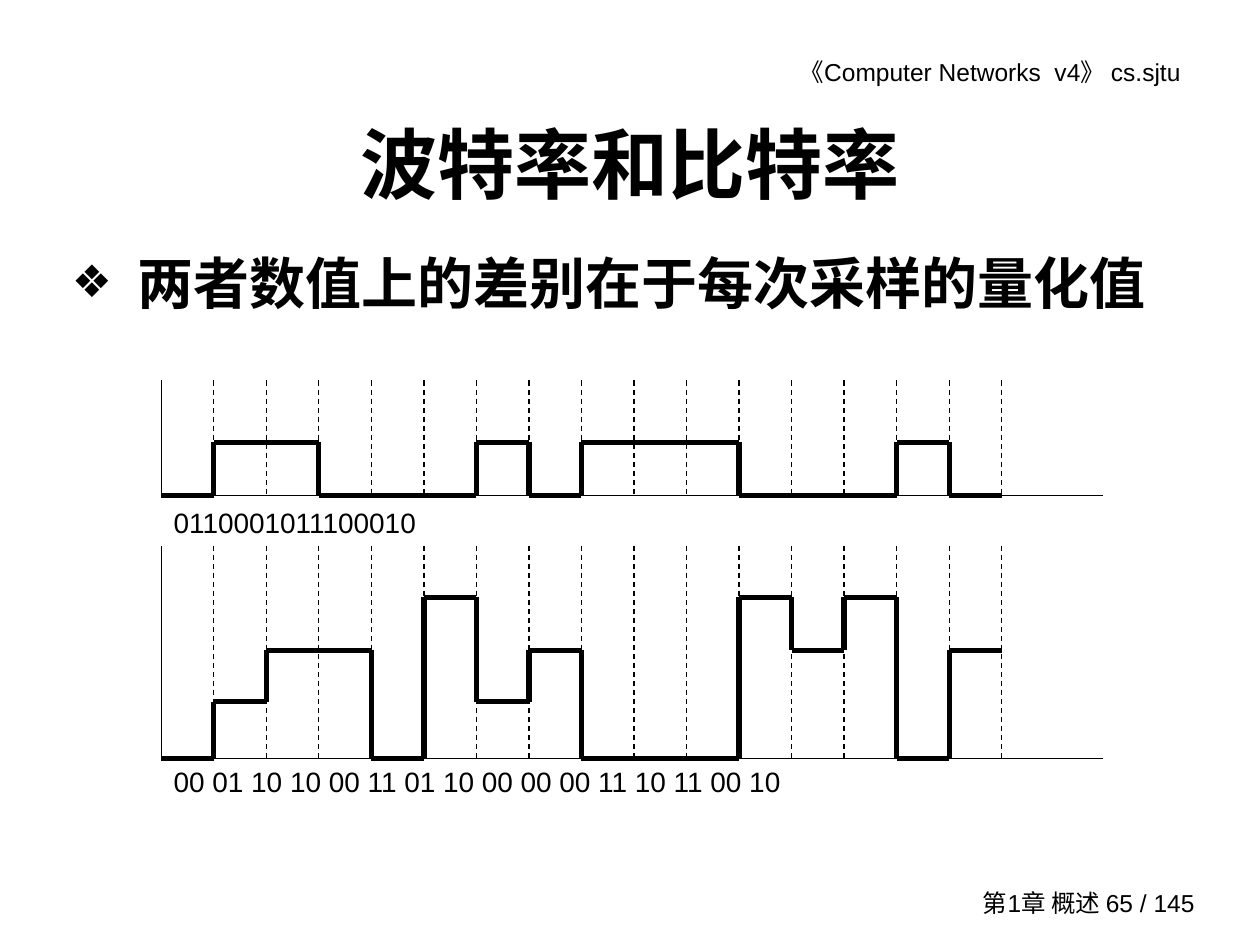
from itertools import groupby
from pptx import Presentation, util as u
from pptx.dml.color import RGBColor
from pptx.enum import dml, shapes, text
from pptx.oxml import parse_xml
from pptx.oxml.ns import nsdecls

# Content
HEAD = "《Computer Networks  v4》 cs.sjtu"
FOOT = "第1章 概述 65 / 145"
TITLE = "波特率和比特率"
POINT = "两者数值上的差别在于每次采样的量化值"
BITS = "0110001011100010"
PAIRS = "00 01 10 10 00 11 01 10 00 00 00 11 10 11 00 10"

# Each signal: label, samples, top, base line, label top, rise of each level
SIGNALS = [
    (BITS, list(BITS), 3.02, 3.93, 3.96, (0, 0.42)),
    (PAIRS, PAIRS.split(), 4.33, 6.02, 6.02, (0, 0.45, 0.86, 1.28)),
]

# Theme and grid
THEME = dict(font="Arial", ink=RGBColor(0, 0, 0), title=44, body=32, label=16, small=14,
             thin=0.75, bold=3)
LEFT, RIGHT, END, COLS = 1.28, 7.95, 8.75, 16
STEP = (RIGHT - LEFT) / COLS
ALIGN, ANCHOR = text.PP_ALIGN, text.MSO_ANCHOR


def write(box, words, size, at, bold=False, align=ALIGN.LEFT, anchor=ANCHOR.TOP, right=0.1):
    """Place a text shape, fill it with one paragraph and format it."""
    for key, val in zip(("left", "top", "width", "height"), at):
        setattr(box, key, u.Inches(val))
    frame = box.text_frame
    frame.text = words
    look = dict(word_wrap=True, auto_size=text.MSO_AUTO_SIZE.NONE, vertical_anchor=anchor,
                margin_left=u.Inches(0.1), margin_right=u.Inches(right),
                margin_top=u.Inches(0.05), margin_bottom=u.Inches(0.05))
    for key, val in look.items():
        setattr(frame, key, val)
    para = frame.paragraphs[0]
    para.alignment, para.space_before = align, u.Pt(0)
    font = para.runs[0].font
    for key, val in dict(name=THEME["font"], size=u.Pt(THEME[size]), bold=bold).items():
        setattr(font, key, val)
    font.color.rgb = THEME["ink"]
    return para


def rule(group, x1, y1, x2, y2, width="thin", dash=None):
    """Draw one straight line."""
    ends = [u.Inches(v) for v in (x1, y1, x2, y2)]
    line = group.shapes.add_connector(shapes.MSO_CONNECTOR.STRAIGHT, *ends)
    line.line.color.rgb = THEME["ink"]
    line.line.width = u.Pt(THEME[width])
    if dash:
        line.line.dash_style = dash
    line._element.spPr.append(parse_xml(f"<a:effectLst {nsdecls('a')}/>"))


def signal(slide, label, codes, top, base, below, rises):
    """Draw axes, sample marks, the stepped wave and its label."""
    group = slide.shapes.add_group_shape()
    rule(group, LEFT, base, END, base)
    rule(group, LEFT, top, LEFT, base)
    for col in range(1, COLS + 1):
        x = LEFT + col * STEP
        rule(group, x, top, x, base, dash=dml.MSO_LINE.DASH)

    # One flat per run of equal samples, joined by upright edges
    x, last = LEFT, None
    for code, run in groupby(codes):
        y = base - rises[int(code, 2)]
        end = x + len(list(run)) * STEP
        if last is not None:
            rule(group, x, min(y, last), x, max(y, last), "bold")
        rule(group, x, y, end, y, "bold")
        x, last = end, y
    write(group.shapes.add_textbox(0, 0, 0, 0), label, "label",
          (LEFT, below, RIGHT - LEFT, 0.37))


def main():
    deck = Presentation()
    deck.slide_width, deck.slide_height = u.Inches(10), u.Inches(7.5)
    slide = deck.slides.add_slide(deck.slide_layouts[1])

    # Running head and foot
    write(slide.shapes.add_textbox(0, 0, 0, 0), HEAD, "small", (5.35, 0.4, 4.23, 0.34),
          align=ALIGN.RIGHT, right=0.21)
    write(slide.shapes.add_textbox(0, 0, 0, 0), FOOT, "small", (7.5, 7, 2.08, 0.33),
          align=ALIGN.RIGHT, anchor=ANCHOR.MIDDLE)

    # Title and bullet
    write(slide.shapes.title, TITLE, "title", (0.75, 0.67, 8.5, 1.25), bold=True,
          align=ALIGN.CENTER, anchor=ANCHOR.MIDDLE)
    para = write(slide.placeholders[1], POINT, "body", (0.47, 1.92, 8.93, 0.78), bold=True)
    props = para._p.get_or_add_pPr()
    props.set("marL", str(u.Inches(0.52)))
    props.set("indent", str(-u.Inches(0.52)))
    for tag in (f'<a:buClr {nsdecls("a")}><a:srgbClr val="{THEME["ink"]}"/></a:buClr>',
                f'<a:buSzPct {nsdecls("a")} val="80000"/>',
                f'<a:buFont {nsdecls("a")} typeface="{THEME["font"]}"/>',
                f'<a:buChar {nsdecls("a")} char="❖"/>'):
        props.append(parse_xml(tag))

    # Signals
    for row in SIGNALS:
        signal(slide, *row)
    deck.save("out.pptx")


if __name__ == "__main__":
    main()
